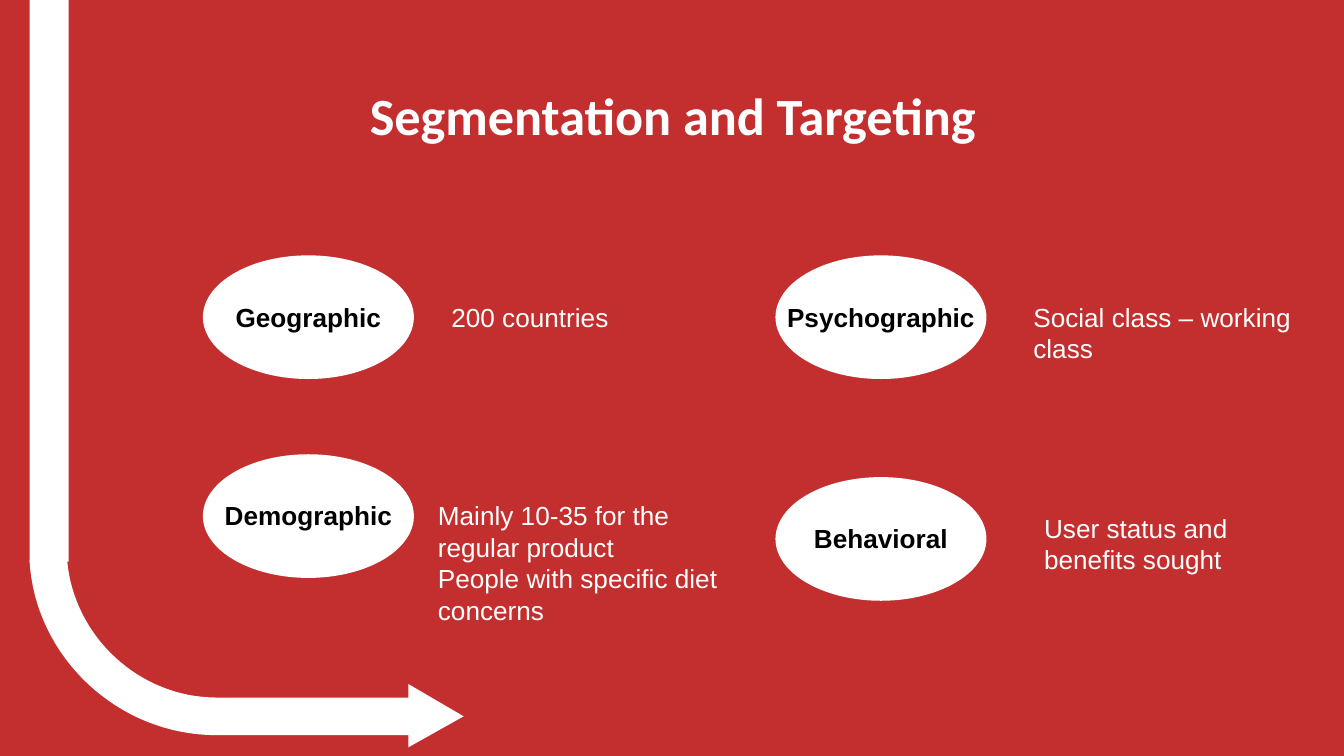
"""Build the Segmentation and Targeting slide."""
from pptx import Presentation
from pptx.dml.color import RGBColor
from pptx.enum.shapes import MSO_SHAPE
from pptx.enum.text import MSO_ANCHOR, MSO_AUTO_SIZE, PP_ALIGN
from pptx.util import Inches, Pt

RED = RGBColor(0xC3, 0x2E, 0x2E)
WHITE = RGBColor(0xFF, 0xFF, 0xFF)
BLACK = RGBColor(0x00, 0x00, 0x00)
LEFT, CENTER = PP_ALIGN.LEFT, PP_ALIGN.CENTER
MIDDLE = MSO_ANCHOR.MIDDLE
NO_FIT, GROW = MSO_AUTO_SIZE.NONE, MSO_AUTO_SIZE.SHAPE_TO_FIT_TEXT
RECT, OVAL = MSO_SHAPE.RECTANGLE, MSO_SHAPE.OVAL
OVAL_W, OVAL_H = 1.57, 0.92
LABEL_H = 0.34

SEGMENTS = [
    ("Geographic", 1.51, 1.9, 1.37, ["200 countries"], (3.26, 2.19, 1.74, 0.34)),
    ("Demographic", 1.51, 3.38, 1.46,
     ["Mainly 10-35 for the regular product", "People with specific diet concerns"],
     (3.16, 3.67, 2.44, 1.04)),
    ("Psychographic", 5.77, 1.9, 1.66, ["Social class – working class"],
     (7.59, 2.19, 2.29, 0.57)),
    ("Behavioral", 5.77, 3.55, 1.46, ["User status and benefits sought"],
     (7.67, 3.76, 1.98, 0.57)),
]


def write(tf, lines, size=14, font="Arial", color=WHITE, bold=False, align=LEFT):
    for i, line in enumerate(lines):
        p = tf.paragraphs[0] if i == 0 else tf.add_paragraph()
        p.alignment = align
        r = p.add_run()
        r.text = line
        r.font.size = Pt(size)
        r.font.name = font
        r.font.bold = bold
        r.font.color.rgb = color


def bezier(p0, p1, p2, p3, steps=32):
    points = []
    for i in range(steps + 1):
        t = i / steps
        u = 1 - t
        points.append(tuple(u**3 * a + 3 * u * u * t * b + 3 * u * t * t * c + t**3 * d
                            for a, b, c, d in zip(p0, p1, p2, p3)))
    return points


class Canvas:
    def __init__(self, prs):
        self.slide = prs.slides.add_slide(prs.slide_layouts[5])
        self.slide.background.fill.solid()
        self.slide.background.fill.fore_color.rgb = RED

    def paint(self, sp):
        sp.shadow.inherit = False
        sp.fill.solid()
        sp.fill.fore_color.rgb = WHITE
        sp.line.fill.background()

    def shape(self, kind, *box):
        self.paint(self.slide.shapes.add_shape(kind, *map(Inches, box)))

    def outline(self, points):
        start, *rest = [(Inches(x), Inches(y)) for x, y in points]
        builder = self.slide.shapes.build_freeform(*start)
        builder.add_line_segments(rest, close=True)
        self.paint(builder.convert_to_shape())

    def title(self, text, *box):
        sp = self.slide.shapes.title
        sp.left, sp.top, sp.width, sp.height = map(Inches, box)
        tf = sp.text_frame
        tf.auto_size = NO_FIT
        tf.vertical_anchor = MIDDLE
        tf.margin_left = tf.margin_right = tf.margin_top = tf.margin_bottom = Inches(0.1)
        write(tf, [text], size=28, font="Calibri", bold=True, align=CENTER)

    def text(self, lines, *box, **style):
        tf = self.slide.shapes.add_textbox(*map(Inches, box)).text_frame
        tf.word_wrap = True
        tf.auto_size = GROW
        write(tf, lines, **style)

    def segment(self, name, x, y, label_w, lines, box):
        self.shape(OVAL, x, y, OVAL_W, OVAL_H)
        self.text([name], x + (OVAL_W - label_w) / 2, y + (OVAL_H - LABEL_H) / 2,
                  label_w, LABEL_H, color=BLACK, bold=True, align=CENTER)
        self.text(lines, *box)


def main():
    prs = Presentation()
    prs.slide_width = Inches(10)
    prs.slide_height = prs.slide_width * 9 // 16
    canvas = Canvas(prs)
    inner = bezier((0.5, 4.17), (0.55, 4.74), (1.04, 5.19), (1.61, 5.19))
    outer = bezier((1.61, 5.47), (0.88, 5.47), (0.26, 4.89), (0.22, 4.17))
    head = [(3.04, 5.19), (3.04, 5.09), (3.45, 5.33), (3.04, 5.56), (3.04, 5.47)]
    canvas.outline(inner + head + outer)
    canvas.shape(RECT, 0.22, 0, 0.29, 4.18)
    canvas.title("Segmentation and Targeting", 0.79, 0.59, 8.43, 0.52)
    for segment in SEGMENTS:
        canvas.segment(*segment)
    prs.save("out.pptx")


if __name__ == "__main__":
    main()
